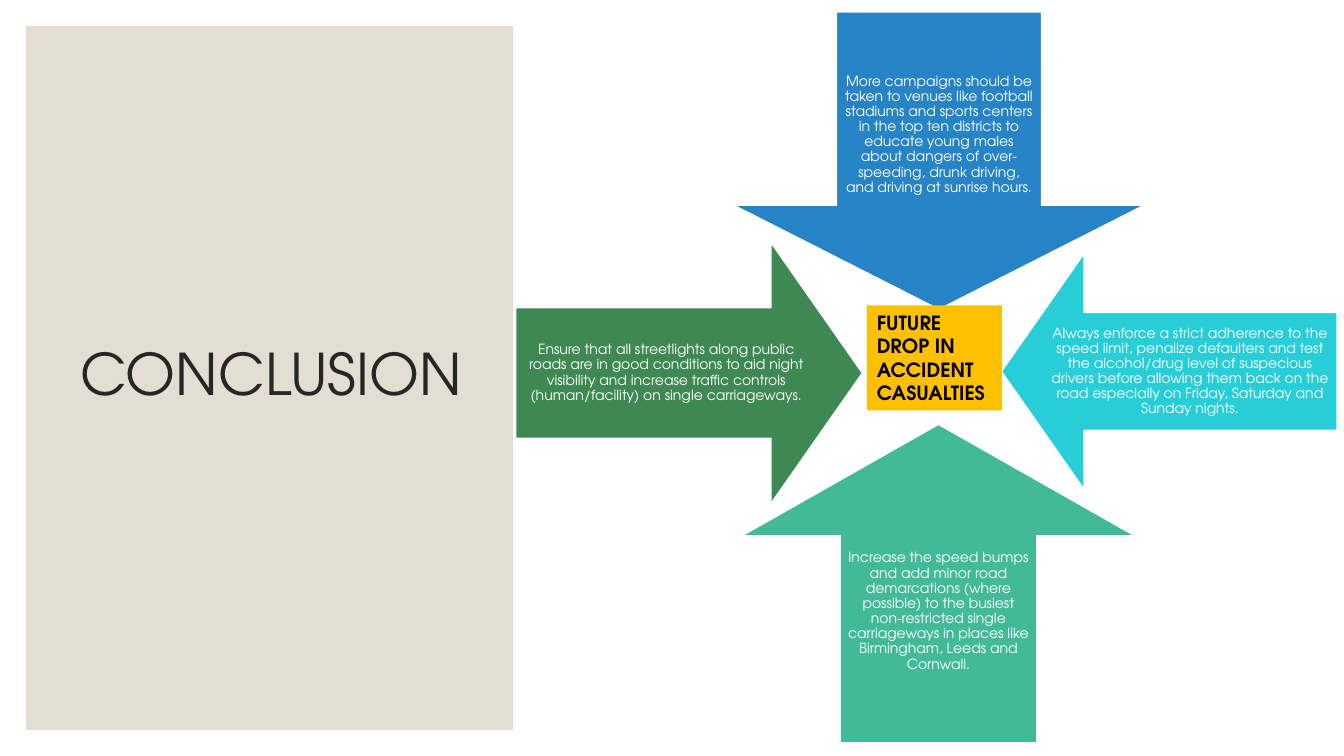
from pptx import Presentation
from pptx.dml.color import RGBColor
from pptx.enum.shapes import MSO_SHAPE
from pptx.enum.text import MSO_ANCHOR, MSO_AUTO_SIZE, PP_ALIGN
from pptx.util import Pt

RECT, DOWN_ARROW = MSO_SHAPE.RECTANGLE, MSO_SHAPE.DOWN_ARROW
MIDDLE, TOP = MSO_ANCHOR.MIDDLE, MSO_ANCHOR.TOP
NO_FIT, GROW = MSO_AUTO_SIZE.NONE, MSO_AUTO_SIZE.SHAPE_TO_FIT_TEXT
CENTER, LEFT = PP_ALIGN.CENTER, PP_ALIGN.LEFT

WHITE = RGBColor(0xFF, 0xFF, 0xFF)
BLACK = RGBColor(0x00, 0x00, 0x00)
INK = RGBColor(0x26, 0x26, 0x26)
SAND = RGBColor(0xE3, 0xDE, 0xD1)
BLUE = RGBColor(0x26, 0x83, 0xC6)
CYAN = RGBColor(0x27, 0xCE, 0xD7)
TEAL = RGBColor(0x42, 0xBA, 0x97)
GREEN = RGBColor(0x3E, 0x88, 0x53)
AMBER = RGBColor(0xFF, 0xC0, 0x00)

FONT = "TeX Gyre Adventor"
STEM, HEAD = 0.5, 0.35

ARROWS = [
    (0, BLUE, (524.2, 8.6, 293, 212.4),
     "More campaigns should be taken to venues like football stadiums and "
     "sports centers in the top ten districts to educate young males about "
     "dangers of over-speeding, drunk driving, and driving at sunrise hours."),
    (90, CYAN, (715.3, 181.1, 239.8, 168.5),
     "Always enforce a strict adherence to the speed limit, penalize "
     "defaulters and test the alcohol/drug level of suspecious drivers before "
     "allowing them back on the road especially on Friday, Saturday and "
     "Sunday nights."),
    (180, TEAL, (529.9, 303.1, 280.8, 227.5),
     "Increase the speed bumps and add minor road demarcations (where "
     "possible) to the busiest non-restricted single carriageways in places "
     "like Birmingham, Leeds and Cornwall."),
    (270, GREEN, (368.3, 173.2, 247.7, 186.5),
     "Ensure that all streetlights along public roads are in good conditions "
     "to aid night visibility and increase traffic controls (human/facility) "
     "on single carriageways."),
]


def set_attrs(obj, **values):
    for name, value in values.items():
        setattr(obj, name, value)


def place(sp, box):
    set_attrs(sp, **dict(zip(("left", "top", "width", "height"), map(Pt, box))))


def write(sp, text, size, color, bold=False, align=CENTER, spacing=0.9,
          anchor=MIDDLE, fit=NO_FIT, inset=None):
    tf = sp.text_frame
    set_attrs(tf, word_wrap=True, auto_size=fit, vertical_anchor=anchor)
    if inset is not None:
        for side in ("left", "right", "top", "bottom"):
            setattr(tf, f"margin_{side}", Pt(inset))
    p = tf.paragraphs[0]
    set_attrs(p, alignment=align, line_spacing=spacing)
    r = p.add_run()
    r.text = text
    set_attrs(r.font, name=FONT, size=Pt(size), bold=bold)
    r.font.color.rgb = color


def add_filled(s, kind, box, color):
    sp = s.shapes.add_shape(kind, *map(Pt, box))
    sp.shadow.inherit = False
    sp.fill.solid()
    sp.fill.fore_color.rgb = color
    sp.line.fill.background()
    return sp


def add_title_panel(s, box):
    x, y, w, h = box
    panel = add_filled(s, RECT, box, SAND)
    title = s.shapes.title
    title._element.addprevious(panel._element)
    place(title, (x + 26.5, y + 25.5, w - 51, h - 53))
    write(title, "CONCLUSION", 41, INK)


def add_arrow(s, angle, color, box, text):
    x, y, w, h = box
    sideways = angle % 180 == 90
    aw, ah = (h, w) if sideways else (w, h)
    sp = add_filled(s, DOWN_ARROW,
                    (x + (w - aw) / 2, y + (h - ah) / 2, aw, ah), color)
    sp.rotation = angle
    sp.adjustments[0], sp.adjustments[1] = STEM, HEAD
    sp.line.color.rgb = WHITE
    sp.line.width = Pt(1)

    tip = HEAD * min(w, h) * (1 - STEM)
    margin = aw * (1 - STEM) / 2
    shift = tip if angle in (90, 180) else 0
    if sideways:
        area = (x + shift, y + margin, w - tip, h * STEM)
    else:
        area = (x + margin, y + shift, w * STEM, h - tip)
    label = s.shapes.add_textbox(*map(Pt, area))
    write(label, text, 10, WHITE, inset=5.6)


def add_goal(s, box):
    sp = s.shapes.add_textbox(*map(Pt, box))
    sp.fill.solid()
    sp.fill.fore_color.rgb = AMBER
    write(sp, "FUTURE DROP IN ACCIDENT CASUALTIES", 14, BLACK, bold=True,
          align=LEFT, spacing=1.0, anchor=TOP, fit=GROW)


def main():
    prs = Presentation()
    set_attrs(prs, slide_width=Pt(960), slide_height=Pt(540))
    s = prs.slides.add_slide(prs.slide_layouts[5])
    s.background.fill.solid()
    s.background.fill.fore_color.rgb = WHITE
    add_title_panel(s, (18.7, 18.7, 347.8, 502.6))
    for arrow in ARROWS:
        add_arrow(s, *arrow)
    add_goal(s, (619.2, 218.2, 96.5, 74.9))
    prs.save("out.pptx")


if __name__ == "__main__":
    main()
